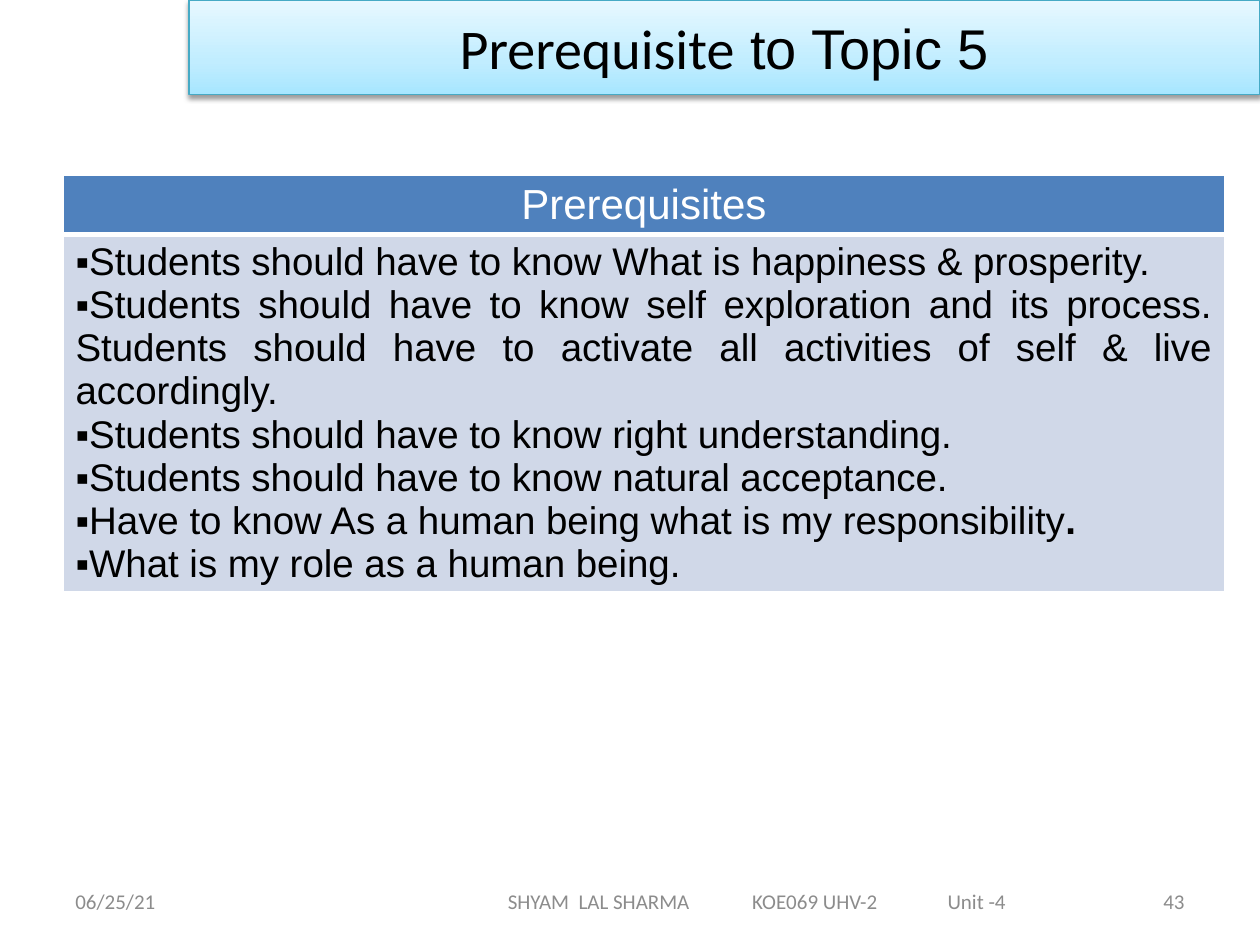
from lxml import etree
from pptx import Presentation
from pptx.dml.color import RGBColor
from pptx.enum.shapes import MSO_SHAPE
from pptx.enum.text import MSO_ANCHOR, PP_ALIGN
from pptx.oxml.ns import qn
from pptx.util import Inches, Pt

LEFT, CENTER, RIGHT, JUSTIFY = PP_ALIGN.LEFT, PP_ALIGN.CENTER, PP_ALIGN.RIGHT, PP_ALIGN.JUSTIFY
MIDDLE = MSO_ANCHOR.MIDDLE

# Content
TITLE = [("Prerequisite", "Calibri"), (" to Topic 5", "Arial")]
HEADING = "Prerequisites"
# Each item is a list of (text, bold) spans
ITEMS = [
    [("Students should have to know What is happiness & prosperity.", False)],
    [("Students should have to know self exploration and its process. "
      "Students should have to activate all activities of self & live accordingly.", False)],
    [("Students should have to know right understanding.", False)],
    [("Students should have to know natural acceptance.", False)],
    [("Have to know As a human being what is my responsibility", False), (".", True)],
    [("What is my role as a human being.", False)],
]
# Text, left, width, left margin, alignment, tab stops
FOOTERS = [
    ("06/25/21", 0.5, 2.33, 0.1, LEFT, []),
    ("SHYAM  LAL SHARMA\tKOE069 UHV-2\tUnit -4", 3.12, 5.78, 0.91, LEFT, [1.94, 3.49]),
    ("43", 7.17, 2.33, 0.1, RIGHT, []),
]
COLORS = {"text": "000000", "white": "FFFFFF", "footer": "8C8C8C", "header": "4F81BD",
          "body": "D0D8E8", "banner line": "46AAC5", "shadow": "000000"}
BANNER_STOPS = [(0, "A7E6FF"), (35, "C1EDFF"), (100, "E7F8FF")]
ROW_HEIGHTS = [0.46, 2.83]


def rgb(name):
    return RGBColor.from_string(COLORS[name])


def add_element(parent, tag, **attributes):
    values = {key: str(value) for key, value in attributes.items()}
    return etree.SubElement(parent, qn(tag), values)


def style(para, size, color, align, font=None):
    para.alignment = align
    para.font.size = Pt(size)
    para.font.color.rgb = rgb(color)
    if font:
        para.font.name = font


def set_borders(cell, top, bottom):
    properties = cell._tc.get_or_add_tcPr()
    edges = [("a:lnL", 1), ("a:lnR", 1), ("a:lnT", top), ("a:lnB", bottom)]
    for index, (tag, width) in enumerate(edges):
        line = add_element(properties, tag, w=Pt(width))
        add_element(add_element(line, "a:solidFill"), "a:srgbClr", val=COLORS["white"])
        properties.insert(index, line)


def add_banner(page):
    banner = page.shapes.add_shape(MSO_SHAPE.RECTANGLE, Inches(1.5), 0, Inches(8.5), Inches(0.75))
    banner.fill.gradient()
    banner.fill.gradient_angle = 90
    stops = banner._element.spPr.find(".//" + qn("a:gsLst"))
    for stop in list(stops):
        stops.remove(stop)
    for position, color in BANNER_STOPS:
        add_element(add_element(stops, "a:gs", pos=position * 1000), "a:srgbClr", val=color)
    banner.line.color.rgb = rgb("banner line")
    banner.line.width = Pt(0.75)

    # Soft shadow below the banner
    banner.shadow.inherit = False
    effects = banner._element.spPr.find(qn("a:effectLst"))
    shadow = add_element(effects, "a:outerShdw", blurRad=Pt(3.1), dist=Pt(1.6),
                         dir=90 * 60000, rotWithShape=0)
    tint = add_element(shadow, "a:srgbClr", val=COLORS["shadow"])
    add_element(tint, "a:alpha", val=38000)

    banner.text_frame.vertical_anchor = MIDDLE
    para = banner.text_frame.paragraphs[0]
    style(para, 32, "text", CENTER)
    for text, font in TITLE:
        span = para.add_run()
        span.text = text
        span.font.name = font
        span.font.color.rgb = rgb("text")


def add_prerequisites(page):
    table = page.shapes.add_table(2, 1, Inches(0.5), Inches(1.39), Inches(9.22),
                                  Inches(sum(ROW_HEIGHTS))).table
    for row, height in zip(table.rows, ROW_HEIGHTS):
        row.height = Inches(height)
    header, body = table.cell(0, 0), table.cell(1, 0)
    for cell, color, top, bottom in [(header, "header", 1, 3), (body, "body", 3, 1)]:
        cell.fill.solid()
        cell.fill.fore_color.rgb = rgb(color)
        set_borders(cell, top, bottom)

    header.text = HEADING
    heading = header.text_frame.paragraphs[0]
    style(heading, 24, "white", CENTER, "Arial")
    heading.font.bold = False

    for index, spans in enumerate(ITEMS):
        frame = body.text_frame
        para = frame.add_paragraph() if index else frame.paragraphs[0]
        properties = para._p.get_or_add_pPr()
        add_element(properties, "a:buFont", typeface="Arial")
        add_element(properties, "a:buChar", char="▪")
        style(para, 22, "text", JUSTIFY, "Arial")
        for text, bold in spans:
            span = para.add_run()
            span.text = text
            span.font.bold = bold


def add_footers(page):
    for text, left, width, margin, align, stops in FOOTERS:
        box = page.shapes.add_textbox(Inches(left), Inches(6.95), Inches(width), Inches(0.4))
        frame = box.text_frame
        frame.word_wrap = True
        frame.vertical_anchor = MIDDLE
        frame.margin_left = Inches(margin)
        para = frame.paragraphs[0]
        para.text = text
        if stops:
            tabs = add_element(para._p.get_or_add_pPr(), "a:tabLst")
            for stop in stops:
                add_element(tabs, "a:tab", pos=Inches(stop), algn="l")
        style(para, 12, "footer", align, "Calibri")


def main():
    deck = Presentation()
    deck.slide_width, deck.slide_height = Inches(10), Inches(7.5)
    page = deck.slides.add_slide(deck.slide_layouts[6])
    add_banner(page)
    add_prerequisites(page)
    add_footers(page)
    deck.save("out.pptx")


if __name__ == "__main__":
    main()
